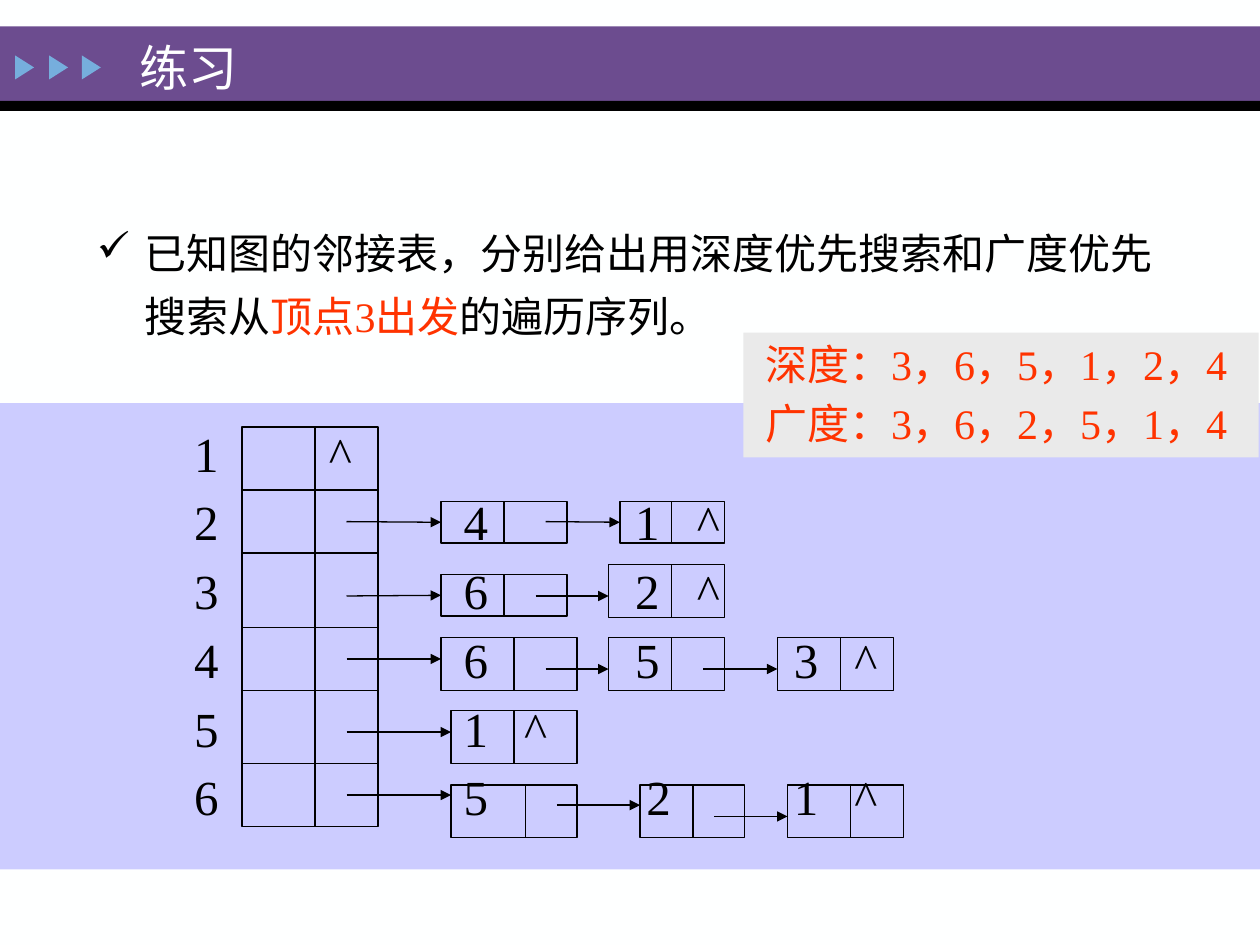
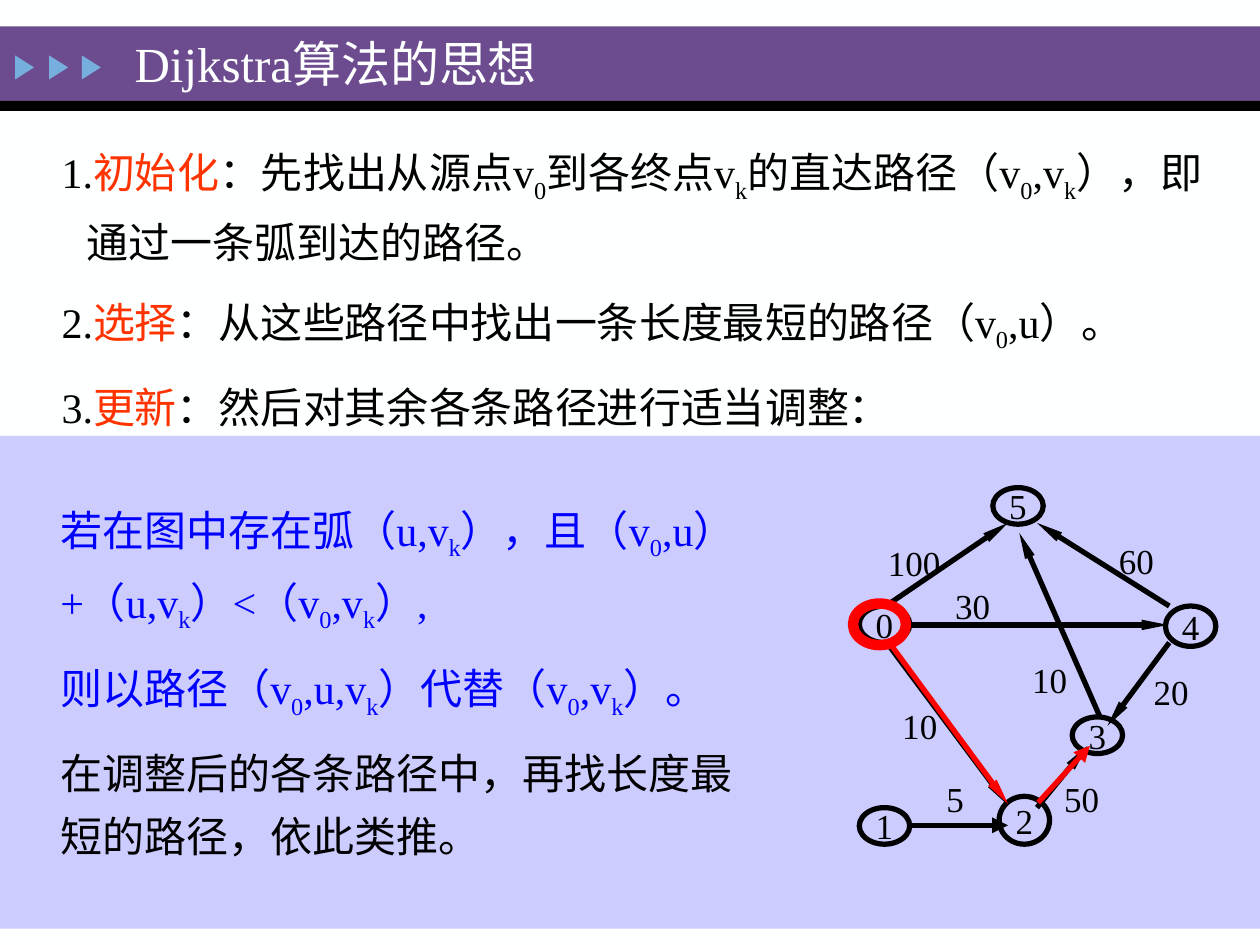
import pptx
import pptx.util
import pptx.dml.color
import pptx.enum.shapes
import pptx.enum.text
import pptx.oxml
import pptx.oxml.ns
from lxml import etree

Inches, Pt = pptx.util.Inches, pptx.util.Pt
SHAPE = pptx.enum.shapes.MSO_SHAPE
ALIGN = pptx.enum.text.PP_ALIGN
ANCHOR = pptx.enum.text.MSO_ANCHOR
qn = pptx.oxml.ns.qn

FONT = "Times New Roman"
COLORS = {
    "paper": "FEFFFF", "band": "6C4C8F", "black": "000000", "marker": "76AEDD",
    "panel": "CCCCFF", "note": "EAEAEA", "accent": "FF3300", "blue": "0000FF",
    "red": "FF0000",
}

# ---- Content: exercise (each paragraph is a list of text and colour) ----
EXERCISE_TITLE = ("练习", (1.01, 0.25, 3.04, 0.56))
QUESTION = [[
    ("已知图的邻接表，分别给出用深度优先搜索和广度优先搜索从", "black"),
    ("顶点3出发", "accent"), ("的遍历序列。", "black"),
]]
ANSWERS = [[(" 深度：3，6，5，1，2，4", "accent")],
           [(" 广度：3，6，2，5，1，4", "accent")]]

# Vertex column and the left edges of each row's entries
VERTEX_X = 1.54
ADJACENCY = [
    ("1", [("^", 2.61)]),
    ("2", [("4", 3.68), ("1", 5.04), ("^", 5.53)]),
    ("3", [("6", 3.68), ("2", 5.04), ("^", 5.53)]),
    ("4", [("6", 3.68), ("5", 5.04), ("3", 6.3), ("^", 6.78)]),
    ("5", [("1", 3.68), ("^", 4.16)]),
    ("6", [("5", 3.68), ("2", 5.13), ("1", 6.3), ("^", 6.78)]),
]
HEADS = (1.92, 3.39, 1.08, 3.17)
HEAD_DIVIDER = 2.5
HEAD_ROWS = [3.89, 4.39, 4.98, 5.48, 6.06]
# List cells: box, divider x, start of the incoming arrow
LIST_CELLS = [
    ((3.5, 3.98, 1, 0.33), 4, (2.75, 4.14)),
    ((4.92, 3.98, 0.83, 0.33), 5.33, (4.33, 4.14)),
    ((3.5, 4.56, 1, 0.33), 4, (2.75, 4.73)),
    ((4.83, 4.48, 0.92, 0.42), 5.33, (4.25, 4.73)),
    ((3.5, 5.06, 1.08, 0.42), 4.08, (2.75, 5.23)),
    ((4.83, 5.06, 0.92, 0.42), 5.33, (4.33, 5.31)),
    ((6.17, 5.06, 0.92, 0.42), 6.67, (5.58, 5.31)),
    ((3.58, 5.64, 1, 0.42), 4.08, (2.75, 5.81)),
    ((3.58, 6.23, 1, 0.42), 4.17, (2.75, 6.31)),
    ((5.08, 6.23, 0.83, 0.42), 5.5, (4.42, 6.39)),
    ((6.25, 6.23, 0.92, 0.42), 6.75, (5.67, 6.48)),
]

# ---- Content: Dijkstra ("_" lowers the character that follows) ----
DIJKSTRA_TITLE = ("Dijkstra算法的思想", (0.97, 0.22, 4.72, 0.56))
STEPS = [
    [("1.", "black"), ("初始化", "accent"),
     ("：先找出从源点v_0到各终点v_k的直达路径（v_0,v_k），即通过一条弧到达的路径。", "black")],
    [("2.", "black"), ("选择", "accent"),
     ("：从这些路径中找出一条长度最短的路径（v_0,u）。", "black")],
    [("3.", "black"), ("更新", "accent"), ("：然后对其余各条路径进行适当调整：", "black")],
]
UPDATE_RULE = [
    [("若在图中存在弧（u,v_k），且（v_0,u）+（u,v_k）<（v_0,v_k）,", "blue")],
    [("则以路径（v_0,u,v_k）代替（v_0,v_k）。", "blue")],
    [("在调整后的各条路径中，再找长度最短的路径，依此类推。", "black")],
]
# Vertex: left, top, height
VERTICES = {
    "5": (7.88, 3.87, 0.29), "4": (9.25, 4.81, 0.32), "0": (6.82, 4.81, 0.29),
    "3": (8.51, 5.69, 0.29), "1": (6.82, 6.41, 0.29), "2": (7.93, 6.32, 0.38),
}
# Arc: weight, label box, start, end, arrowhead width and length
NARROW, MEDIUM = ("sm", "lg"), ("med", "med")
ARCS = [
    ("100", (6.93, 4.25, 0.65, 0.43), (7.03, 4.81), (8, 4.15), NARROW),
    ("60", (8.67, 4.23, 0.7, 0.43), (9.28, 4.81), (8.23, 4.15), NARROW),
    ("30", (7.41, 4.59, 0.62, 0.43), (7.17, 4.96), (9.27, 4.96), NARROW),
    ("10", (7.06, 5.54, 0.48, 0.43), (7.06, 5.13), (8, 6.39), NARROW),
    ("10", (8.09, 5.18, 0.48, 0.43), (8.73, 5.69), (8.09, 4.23), NARROW),
    ("20", (9.01, 5.27, 0.57, 0.43), (9.28, 5.1), (8.79, 5.76), NARROW),
    ("50", (8.3, 6.12, 0.57, 0.43), (8.23, 6.41), (8.63, 5.92), NARROW),
    ("5", (7.41, 6.12, 0.34, 0.44), (7.22, 6.55), (8, 6.55), MEDIUM),
]
SOURCE_RING = (6.77, 4.79, 0.42, 0.33)
CHOSEN_ARCS = [((7.08, 5.13), (8, 6.38), NARROW), ((8.24, 6.37), (8.65, 5.92), MEDIUM)]

# ---- Text formats ----
TITLE = {"size": 28, "frame": {"vertical_anchor": ANCHOR.MIDDLE}}
BODY = {"size": 24, "paragraph": {"line_spacing": 1.25}, "gap": 8.6}
CHECKED = {**BODY, "hang": 0.38, "bullet": "✓"}
NUMBERED = {**BODY, "hang": 0.2}
ANSWER = {"size": 24, "hang": 0.38, "gap": 4.8}
NO_INSETS = {"margin_left": 0, "margin_right": 0, "margin_top": 0, "margin_bottom": 0}
ENTRIES = {"size": 28, "frame": NO_INSETS, "paragraph": {"line_spacing": Pt(39.3)}}
WEIGHT = {"size": 20, "frame": {"margin_left": 0, "margin_right": 0},
          "paragraph": {"alignment": ALIGN.CENTER}}
VERTEX = {"size": 20, "paragraph": {"alignment": ALIGN.CENTER},
          "frame": {**NO_INSETS, "word_wrap": False, "vertical_anchor": ANCHOR.MIDDLE}}


def rgb(name):
    return pptx.dml.color.RGBColor.from_string(COLORS[name])


def apply(target, values):
    for key, value in values.items():
        setattr(target, key, value)


def add_run(paragraph, text, color, size, lowered=False):
    run = paragraph.add_run()
    run.text = text
    apply(run.font, {"name": FONT, "size": Pt(size)})
    run.font.color.rgb = rgb(color)
    if lowered:
        run.font._element.set("baseline", "-25000")


def write(shape, paragraphs, style, tabs=()):
    frame = shape.text_frame
    apply(frame, {"word_wrap": True, **style.get("frame", {})})
    for index, pieces in enumerate(paragraphs):
        paragraph = frame.add_paragraph() if index else frame.paragraphs[0]
        props = paragraph._p.get_or_add_pPr()
        if "hang" in style:
            props.set("marL", str(Inches(style["hang"])))
            props.set("indent", str(-Inches(style["hang"])))
        if "bullet" in style:
            etree.SubElement(props, qn("a:buChar")).set("char", style["bullet"])
        if tabs:
            stops = etree.SubElement(props, qn("a:tabLst"))
            for x in tabs[index]:
                stop = etree.SubElement(stops, qn("a:tab"))
                stop.set("pos", str(Inches(x)))
                stop.set("algn", "l")
        apply(paragraph, {"alignment": ALIGN.LEFT, **style.get("paragraph", {})})
        if index and "gap" in style:
            paragraph.space_before = Pt(style["gap"])
        for text, color in pieces:
            first, *rest = text.split("_")
            add_run(paragraph, first, color, style["size"])
            for part in rest:
                add_run(paragraph, part[0], color, style["size"], lowered=True)
                if part[1:]:
                    add_run(paragraph, part[1:], color, style["size"])


def add_text(slide, box, paragraphs, style, tabs=()):
    write(slide.shapes.add_textbox(*map(Inches, box)), paragraphs, style, tabs)


def add_shape(slide, kind, box, fill=None, line=None, weight=0.75):
    shape = slide.shapes.add_shape(kind, *map(Inches, box))
    shape.shadow.inherit = False
    if fill:
        shape.fill.solid()
        shape.fill.fore_color.rgb = rgb(fill)
    else:
        shape.fill.background()
    if line:
        shape.line.color.rgb = rgb(line)
        shape.line.width = Pt(weight)
    else:
        shape.line.fill.background()
    return shape


def add_line(slide, start, end, color="black", weight=0.75, arrow=None):
    line = slide.shapes.add_connector(
        pptx.enum.shapes.MSO_CONNECTOR.STRAIGHT, *map(Inches, (*start, *end)))
    line.line.color.rgb = rgb(color)
    line.line.width = Pt(weight)
    if arrow:
        head = etree.SubElement(line.line._get_or_add_ln(), qn("a:tailEnd"))
        for key, value in zip(("type", "w", "len"), ("triangle", *arrow)):
            head.set(key, value)
    etree.SubElement(line._element.spPr, qn("a:effectLst"))
    return line


def add_slide(deck, title, panel_top, panel_height):
    slide = deck.slides.add_slide(deck.slide_layouts[6])
    slide.background.fill.solid()
    slide.background.fill.fore_color.rgb = rgb("paper")
    add_shape(slide, SHAPE.RECTANGLE, (0, 0.21, 10, 0.59), "band")
    add_shape(slide, SHAPE.RECTANGLE, (0, 0.8, 10, 0.08), "black")
    for x in (0.1, 0.37, 0.63):
        add_shape(slide, SHAPE.ISOSCELES_TRIANGLE, (x, 0.46, 0.19, 0.15), "marker").rotation = 90
    add_shape(slide, SHAPE.RECTANGLE, (0, panel_top, 10, panel_height), "panel")
    text, box = title
    add_text(slide, box, [[(text, "paper")]], TITLE)
    return slide


def build_exercise(deck):
    slide = add_slide(deck, EXERCISE_TITLE, 3.2, 3.7)
    add_text(slide, (0.67, 1.66, 8.66, 1.1), QUESTION, CHECKED)

    # Vertex numbers and list entries, lined up on tab stops
    rows = [[("\t".join([vertex] + [text for text, _ in entries]), "black")]
            for vertex, entries in ADJACENCY]
    tabs = [[x - VERTEX_X for _, x in entries] for _, entries in ADJACENCY]
    add_text(slide, (VERTEX_X, 3.28, 7, 3.3), rows, ENTRIES, tabs)

    # Head column
    left, top, width, height = HEADS
    add_shape(slide, SHAPE.RECTANGLE, HEADS, line="black")
    add_line(slide, (HEAD_DIVIDER, top), (HEAD_DIVIDER, top + height))
    for y in HEAD_ROWS:
        add_line(slide, (left, y), (left + width, y))

    # Linked cells
    for box, divider, start in LIST_CELLS:
        left, top, width, height = box
        cell = add_shape(slide, SHAPE.RECTANGLE, box, line="black")
        add_line(slide, (divider, top), (divider, top + height))
        arrow = add_line(slide, start, (left, start[1]), arrow=MEDIUM)
        if abs(top + height / 2 - start[1]) < 0.01:
            arrow.end_connect(cell, 1)

    answer_box = add_shape(slide, SHAPE.RECTANGLE, (5.9, 2.64, 4.09, 0.99), "note")
    write(answer_box, ANSWERS, {**ANSWER, "frame": {"vertical_anchor": ANCHOR.TOP}})


def build_dijkstra(deck):
    slide = add_slide(deck, DIJKSTRA_TITLE, 3.46, 3.91)
    add_text(slide, (0.39, 1, 9.3, 2.36), STEPS, NUMBERED)

    # Weighted graph
    for name, (left, top, height) in VERTICES.items():
        vertex = add_shape(slide, SHAPE.OVAL, (left, top, 0.4, height), line="black", weight=3)
        write(vertex, [[(name, "black")]], VERTEX)
    for weight, label_box, start, end, arrow in ARCS:
        add_line(slide, start, end, weight=3, arrow=arrow)
        add_text(slide, label_box, [[(weight, "black")]], WEIGHT)

    # Chosen path
    add_shape(slide, SHAPE.OVAL, SOURCE_RING, line="red", weight=6)
    for start, end, arrow in CHOSEN_ARCS:
        add_line(slide, start, end, "red", 3, arrow)

    add_text(slide, (0.38, 3.84, 5.61, 2.87), UPDATE_RULE, BODY)


def main():
    deck = pptx.Presentation()
    deck.slide_width, deck.slide_height = Inches(10), Inches(7.5)
    build_exercise(deck)
    build_dijkstra(deck)
    deck.save("out.pptx")


if __name__ == "__main__":
    main()
